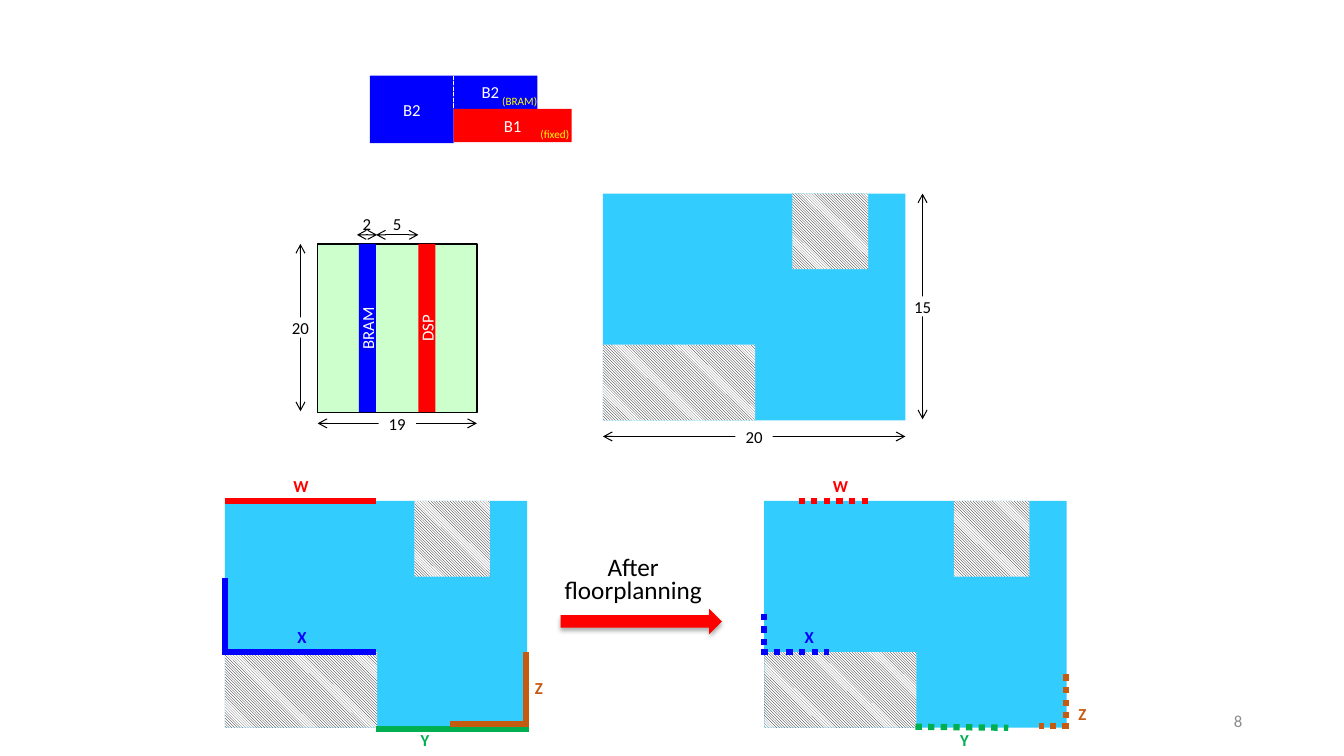
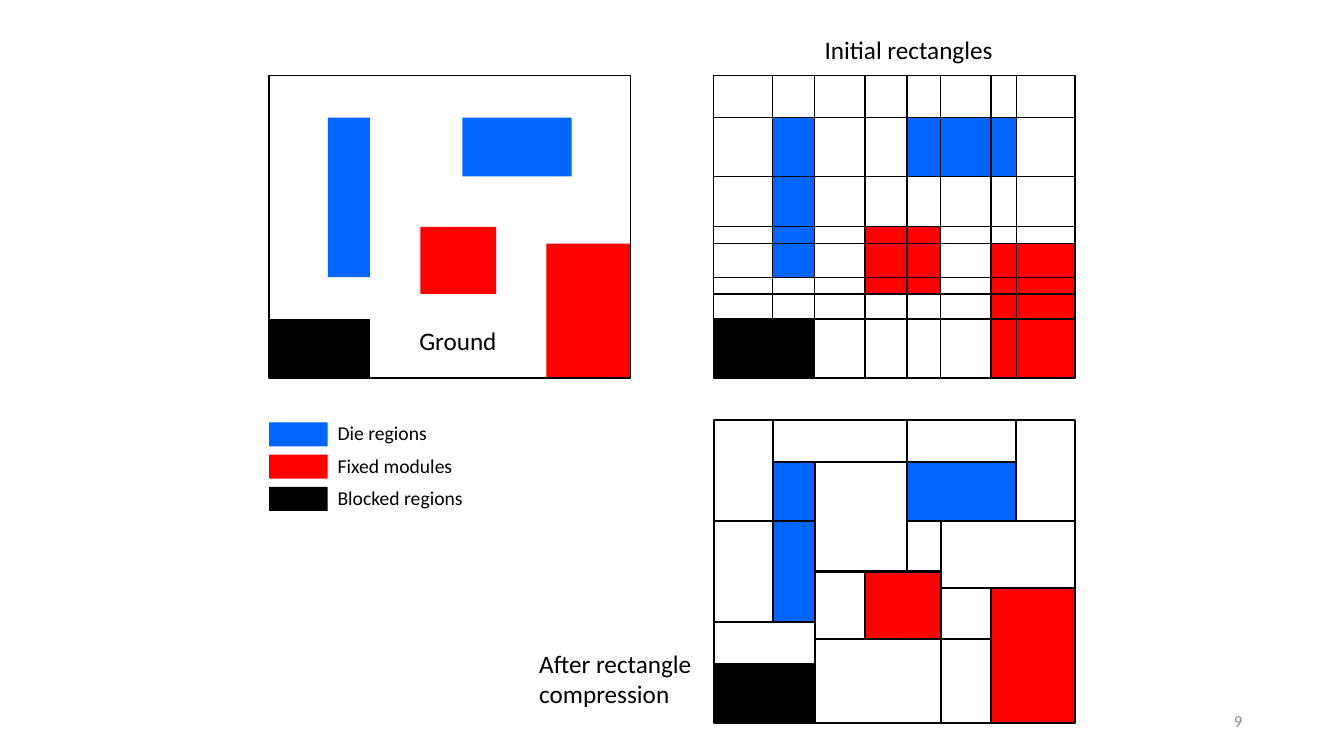
from lxml import etree
from pptx import Presentation
from pptx.dml.color import RGBColor
from pptx.enum.dml import MSO_LINE, MSO_PATTERN
from pptx.enum.shapes import MSO_CONNECTOR, MSO_SHAPE
from pptx.enum.text import MSO_ANCHOR, PP_ALIGN
from pptx.oxml.ns import qn
from pptx.util import Inches, Pt

BLACK, WHITE, GRAY, YELLOW = "000000", "FFFFFF", "8C8C8C", "FFFF00"
RED, BLUE, GREEN, BROWN = "FF0000", "0000FF", "00B050", "C55A11"
SKY, MINT, REGION = "33CCFF", "CCFFCC", "0066FF"
LEFT, CENTER, RIGHT = PP_ALIGN.LEFT, PP_ALIGN.CENTER, PP_ALIGN.RIGHT
TOP, MIDDLE = MSO_ANCHOR.TOP, MSO_ANCHOR.MIDDLE


def color(value):
    return RGBColor.from_string(value)


class Drawing:
    """Holds the shared style and the page being drawn."""

    font = "Calibri"

    def __init__(self):
        self.deck = Presentation()
        self.deck.slide_width, self.deck.slide_height = Inches(13.33), Inches(7.5)
        self.page = None

    def new_page(self, number):
        self.page = self.deck.slides.add_slide(self.deck.slide_layouts[6])
        self.text(number, (9.42, 6.95, 3, 0.4), tint=GRAY, align=RIGHT,
                  anchor=MIDDLE, wrap=True)

    def set_text(self, box, words, size=12, tint=BLACK, align=LEFT, anchor=TOP,
                 bold=False, wrap=False, insets=(0.1, 0.05, 0.1, 0.05), spacing=None):
        frame = box.text_frame
        frame.word_wrap = wrap
        frame.vertical_anchor = anchor
        (frame.margin_left, frame.margin_top,
         frame.margin_right, frame.margin_bottom) = map(Inches, insets)
        para = frame.paragraphs[0]
        para.text = words
        para.alignment = align
        para.line_spacing = spacing
        para.font.name, para.font.size, para.font.bold = self.font, Pt(size), bold
        para.font.color.rgb = color(tint)

    def text(self, words, place, **style):
        box = self.page.shapes.add_textbox(*map(Inches, place))
        self.set_text(box, words, **style)

    def shape(self, place, fill=None, outline=None, width=1, kind=MSO_SHAPE.RECTANGLE):
        box = self.page.shapes.add_shape(kind, *map(Inches, place))
        box.shadow.inherit = False
        if fill:
            box.fill.solid()
            box.fill.fore_color.rgb = color(fill)
        else:
            box.fill.background()
        if outline:
            box.line.color.rgb = color(outline)
            box.line.width = Pt(width)
        else:
            box.line.fill.background()
        return box

    def block(self, words, place, fill, upright=False, insets=(0.1, 0.05, 0.1, 0.05)):
        box = self.shape(place, fill)
        self.set_text(box, words, tint=WHITE, align=CENTER, anchor=MIDDLE,
                      wrap=True, insets=insets)
        if upright:
            box.element.txBody.find(qn("a:bodyPr")).set("vert", "vert270")

    def hatch(self, place):
        box = self.shape(place)
        box.fill.patterned()
        box.fill.pattern = MSO_PATTERN.DARK_DOWNWARD_DIAGONAL
        box.fill.fore_color.rgb = color(BLACK)
        box.fill.back_color.rgb = color(WHITE)

    def line(self, start, end, tint=BLACK, width=1, dash=None, arrows=False):
        link = self.page.shapes.add_connector(
            MSO_CONNECTOR.STRAIGHT, *map(Inches, (*start, *end)))
        link.line.color.rgb = color(tint)
        link.line.width = Pt(width)
        if dash:
            link.line.dash_style = dash
        properties = link.element.spPr
        if arrows:
            outline = properties.find(qn("a:ln"))
            for tip in ("a:headEnd", "a:tailEnd"):
                etree.SubElement(outline, qn(tip)).set("type", "arrow")
        etree.SubElement(properties, qn("a:effectLst"))

    def arrow(self, place, fill):
        """Block arrow with a soft shadow below it."""
        box = self.shape(place, fill, kind=MSO_SHAPE.RIGHT_ARROW)
        effects = box.element.spPr.find(qn("a:effectLst"))
        shadow = etree.SubElement(effects, qn("a:outerShdw"), blurRad=str(Pt(3.5)),
                                  dist=str(Pt(2.2)), dir="5400000", rotWithShape="0")
        tint = etree.SubElement(shadow, qn("a:srgbClr"), val=BLACK)
        etree.SubElement(tint, qn("a:alpha"), val="32000")

    def dimension(self, value, start, end, label_width=0.37, lift=0):
        """Double arrow with its value in the middle, or lifted above it."""
        self.line(start, end, width=0.75, arrows=True)
        x = (start[0] + end[0] - label_width) / 2
        y = (start[1] + end[1]) / 2 - 0.1 - lift
        label = self.shape((x, y, label_width, 0.2), None if lift else WHITE)
        self.set_text(label, value, align=CENTER, anchor=MIDDLE, insets=(0, 0, 0, 0))

    def floor(self, left, top):
        """Floor of 20 by 15 units with two blocked regions."""
        self.shape((left, top, 3, 2.25), SKY)
        self.hatch((left, top + 1.5, 1.51, 0.75))
        self.hatch((left + 1.88, top, 0.75, 0.75))

    def pins(self, left, top, ranges, dash=None):
        """Pin ranges: letter, colour, label middle and top, line segments."""
        for letter, tint, (x, y), segments in ranges:
            for x1, y1, x2, y2 in segments:
                self.line((left + x1, top + y1), (left + x2, top + y2), tint, 4.5, dash)
            self.text(letter, (left + x - 0.17, top + y, 0.35, 0.3), tint=tint,
                      align=CENTER, bold=True)

    def tiles(self, left, top, cells, outline=None):
        """Rectangles on a grid of twelfths of an inch."""
        for column, row, wide, high, fill in cells:
            self.shape((left + column / 12, top + row / 12, wide / 12, high / 12),
                       fill, outline, 1.5)


PINS_BEFORE = [
    ("W", RED, (0.75, -0.3), [(0, 0, 1.5, 0)]),
    ("X", BLUE, (0.76, 1.2), [(0, 0.76, 0, 1.53), (0, 1.5, 1.5, 1.5)]),
    ("Y", GREEN, (1.98, 2.22), [(1.5, 2.26, 3.02, 2.26)]),
    ("Z", BROWN, (3.11, 1.7), [(2.99, 1.5, 2.99, 2.24), (3, 2.21, 2.23, 2.21)]),
]
PINS_AFTER = [
    ("W", RED, (0.75, -0.3), [(0.34, 0, 1.04, 0)]),
    ("X", BLUE, (0.44, 1.2), [(0, 1.12, 0, 1.5), (-0.03, 1.5, 0.64, 1.5)]),
    ("Y", GREEN, (1.98, 2.22), [(1.5, 2.24, 2.42, 2.25)]),
    ("Z", BROWN, (3.15, 1.96), [(2.99, 1.72, 2.99, 2.17), (3.02, 2.23, 2.73, 2.23)]),
]

# Column, row, width, height and fill in grid units
REGIONS = [
    (7, 5, 5, 19, REGION), (23, 5, 13, 7, REGION),
    (18, 18, 9, 8, RED), (33, 20, 10, 16, RED), (0, 29, 12, 7, BLACK),
]
COLUMN_CUTS = (7, 12, 18, 23, 27, 33, 36)
ROW_CUTS = (5, 12, 18, 20, 24, 26, 29)
COMPRESSED = [
    (0, 0, 7, 12, WHITE), (7, 0, 16, 5, WHITE), (23, 0, 13, 5, WHITE),
    (36, 0, 7, 12, WHITE), (7, 5, 5, 7, REGION), (12, 5, 11, 13, WHITE),
    (23, 5, 13, 7, REGION), (0, 12, 7, 12, WHITE), (7, 12, 5, 12, REGION),
    (23, 12, 4, 6, WHITE), (27, 12, 16, 8, WHITE), (12, 18, 6, 8, WHITE),
    (18, 18, 9, 8, RED), (27, 20, 6, 6, WHITE), (33, 20, 10, 16, RED),
    (0, 24, 12, 5, WHITE), (12, 26, 15, 10, WHITE), (27, 26, 6, 10, WHITE),
    (0, 29, 12, 7, BLACK),
]


def floorplanning_page(drawing):
    drawing.new_page("8")

    # Modules
    drawing.block("B2", (3.67, 0.75, 0.83, 0.67), BLUE)
    drawing.block("B2", (4.5, 0.75, 0.83, 0.33), BLUE, insets=(0.1, 0.05, 0.2, 0.05))
    drawing.block("B1", (4.5, 1.08, 1.17, 0.33), RED)
    drawing.line((4.5, 0.75), (4.5, 1.08), WHITE, dash=MSO_LINE.SQUARE_DOT)
    for note, place in (("(fixed)", (5.36, 1.26, 0.29, 0.13)),
                        ("(BRAM)", (4.98, 0.94, 0.35, 0.13))):
        drawing.text(note, place, size=8, tint=YELLOW, insets=(0, 0, 0, 0))

    # Die with its resource columns
    drawing.dimension("19", (4.73, 4.2), (3.15, 4.2))
    drawing.dimension("20", (2.98, 2.42), (2.98, 4.08), label_width=0.17)
    drawing.dimension("5", (4.15, 2.33), (3.73, 2.33), label_width=0.09, lift=0.11)
    drawing.dimension("2", (3.74, 2.33), (3.54, 2.33), label_width=0.09, lift=0.11)
    drawing.shape((3.15, 2.42, 1.58, 1.67), MINT, BLACK)
    for name, left, fill in (("BRAM", 3.56, BLUE), ("DSP", 4.15, RED)):
        drawing.block(name, (left, 2.42, 0.17, 1.67), fill, upright=True,
                      insets=(0, 0, 0, 0))

    # Floor with its size
    drawing.dimension("15", (9.15, 1.92), (9.15, 4.16))
    drawing.dimension("20", (8.98, 4.33), (5.98, 4.33))
    drawing.floor(5.98, 1.92)

    # Pin ranges before and after
    for left, ranges, dash in ((2.23, PINS_BEFORE, None),
                               (7.58, PINS_AFTER, MSO_LINE.ROUND_DOT)):
        drawing.floor(left, 4.97)
        drawing.pins(left, 4.97, ranges, dash)
    drawing.arrow((5.56, 6.04, 1.6, 0.25), RED)
    drawing.text("After\vfloorplanning", (5.49, 5.5, 1.58, 0.56), size=18,
                 align=CENTER, spacing=Pt(16))


def rectangles_page(drawing):
    drawing.new_page("9")
    wide, high = 43 / 12, 3

    # Die and its legend
    drawing.tiles(2.67, 0.75, REGIONS)
    drawing.shape((2.67, 0.75, wide, high), outline=BLACK)
    drawing.text("Ground", (4.06, 3.18, 0.98, 0.4), size=18)
    legend = (("Die regions", REGION, 1.1), ("Fixed modules", RED, 1.35),
              ("Blocked regions", BLACK, 1.46))
    for index, (name, fill, width) in enumerate(legend):
        top = 4.19 + 0.32 * index
        drawing.shape((2.67, top, 0.58, 0.24), fill)
        drawing.text(name, (3.25, top - 0.06, width, 0.34), size=14)

    # Initial rectangles
    left, top = 7.08, 0.75
    drawing.text("Initial rectangles", (8.08, 0.29, 1.89, 0.4), size=18)
    drawing.tiles(left, top, REGIONS)
    drawing.shape((left, top, wide, high), outline=BLACK)
    for row in ROW_CUTS:
        y = top + row / 12
        drawing.line((left, y), (left + wide, y))
    for column in COLUMN_CUTS:
        x = left + column / 12
        drawing.line((x, top), (x, top + high))

    # Rectangles after compression
    drawing.tiles(left, 4.17, COMPRESSED, BLACK)
    drawing.text("After rectangle\vcompression", (5.25, 6.38, 1.73, 0.71), size=18)


def main():
    drawing = Drawing()
    floorplanning_page(drawing)
    rectangles_page(drawing)
    drawing.deck.save("out.pptx")


if __name__ == "__main__":
    main()
